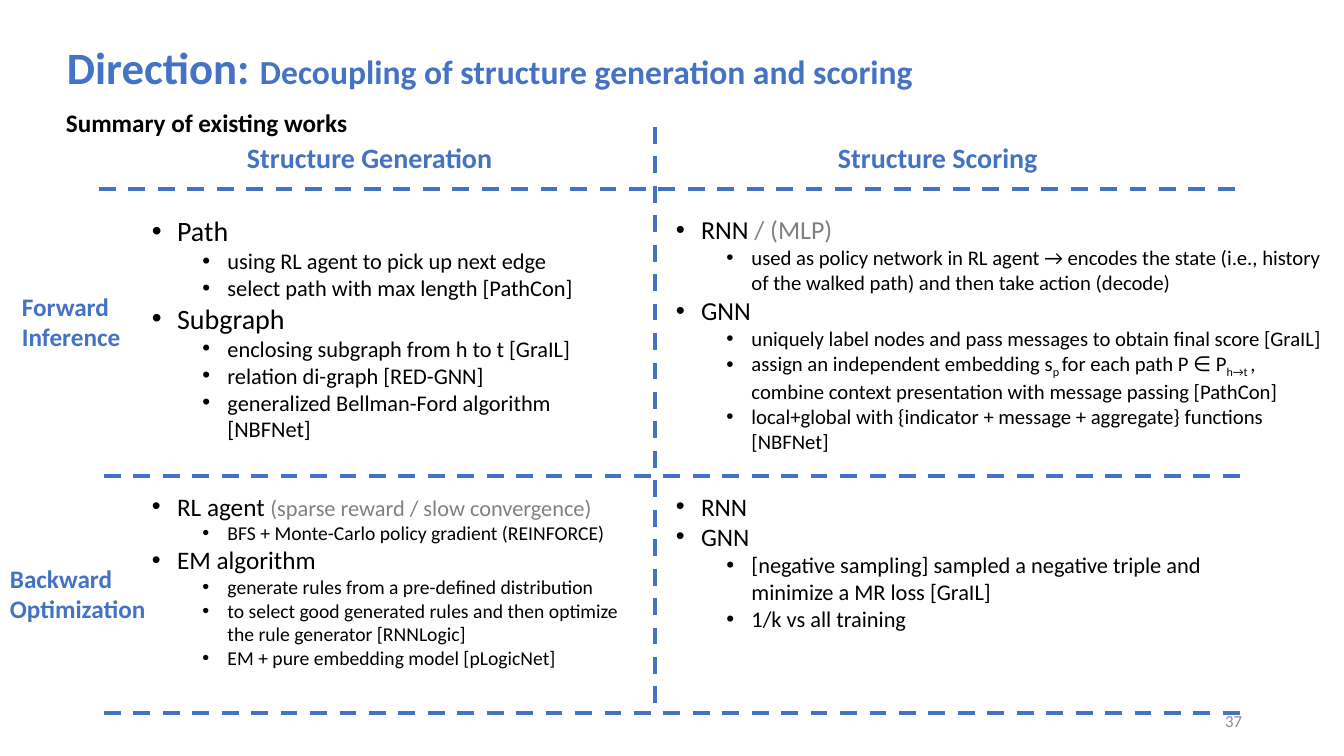
from lxml import etree
from pptx import Presentation
from pptx.dml.color import RGBColor
from pptx.enum.dml import MSO_LINE
from pptx.enum.shapes import MSO_CONNECTOR
from pptx.enum.text import MSO_ANCHOR, PP_ALIGN
from pptx.oxml.ns import qn
from pptx.util import Pt

EMU_PER_PX = 914400 / 100.8
BLUE = RGBColor(0x44, 0x72, 0xC4)
BLACK = RGBColor(0, 0, 0)
GRAY = RGBColor(0x80, 0x80, 0x80)
PAGE_GRAY = RGBColor(0x8C, 0x8C, 0x8C)
FONT = "Calibri"
DASH = MSO_LINE.DASH
STRAIGHT = MSO_CONNECTOR.STRAIGHT
TOP, MIDDLE = MSO_ANCHOR.TOP, MSO_ANCHOR.MIDDLE
LEFT, RIGHT = PP_ALIGN.LEFT, PP_ALIGN.RIGHT

# Bullet lists: (level, spans); a span is text or (text, format)
FORWARD_GENERATION = [
    (0, ["Path"]),
    (1, ["using RL agent to pick up next edge"]),
    (1, ["select path with max length [PathCon]"]),
    (0, ["Subgraph"]),
    (1, ["enclosing subgraph from h to t [GraIL]"]),
    (1, ["relation di-graph [RED-GNN]"]),
    (1, ["generalized Bellman-Ford algorithm [NBFNet]"]),
]
FORWARD_SCORING = [
    (0, ["RNN ", ("/ (MLP)", {"color": GRAY})]),
    (1, ["used as policy network in RL agent → encodes the state (i.e., history "
         "of the walked path) and then take action (decode)"]),
    (0, ["GNN"]),
    (1, ["uniquely label nodes and pass messages to obtain final score [GraIL]"]),
    (1, ["assign an independent embedding s", ("p ", {"subscript": True}),
         "for each path P ∈ P", ("h→t ", {"subscript": True}),
         ", combine context presentation with message passing [PathCon]"]),
    (1, ["local+global with {indicator + message + aggregate} functions [NBFNet]"]),
]
BACKWARD_GENERATION = [
    (0, ["RL agent ", ("(sparse reward / slow convergence)", {"size": 16, "color": GRAY})]),
    (1, ["BFS + Monte-Carlo policy gradient (REINFORCE)"]),
    (0, ["EM algorithm"]),
    (1, ["generate rules from a pre-defined distribution"]),
    (1, ["to select good generated rules and then optimize the rule generator [RNNLogic]"]),
    (1, ["EM + pure embedding model [pLogicNet]"]),
]
BACKWARD_SCORING = [
    (0, ["RNN"]),
    (0, ["GNN"]),
    (1, ["[negative sampling] sampled a negative triple and minimize a MR loss [GraIL]"]),
    (1, ["1/k vs all training"]),
]


def px(length):
    return round(length * EMU_PER_PX)


def add_span(para, text, size=18, color=BLACK, bold=False, subscript=False):
    span = para.add_run()
    span.text = text
    span.font.name = FONT
    span.font.size = Pt(size)
    span.font.color.rgb = color
    span.font.bold = bold
    if subscript:
        span.font._element.set("baseline", "-25000")


def add_frame(page, box, anchor=TOP):
    frame = page.shapes.add_textbox(*map(px, box)).text_frame
    frame.word_wrap = True
    frame.vertical_anchor = anchor
    return frame


def next_para(frame, index):
    return frame.add_paragraph() if index else frame.paragraphs[0]


def add_label(page, box, *lines, anchor=TOP, align=LEFT, **style):
    frame = add_frame(page, box, anchor)
    for index, line in enumerate(lines):
        para = next_para(frame, index)
        para.alignment = align
        add_span(para, line, **style)


def add_title(page, box):
    para = add_frame(page, box, MIDDLE).paragraphs[0]
    para.line_spacing = 0.9
    add_span(para, "Direction: ", size=32, color=BLUE, bold=True)
    add_span(para, "Decoupling of structure generation and scoring",
             size=24, color=BLUE, bold=True)


def add_bullets(page, box, items, sizes):
    frame = add_frame(page, box)
    for index, (level, spans) in enumerate(items):
        para = next_para(frame, index)
        para.level = level
        properties = para._p.get_or_add_pPr()
        properties.set("marL", str(228600 + 457200 * level))
        properties.set("indent", "-228600")
        etree.SubElement(properties, qn("a:buFont")).set("typeface", "Arial")
        etree.SubElement(properties, qn("a:buChar")).set("char", "•")
        for span in spans:
            text, style = (span, {}) if isinstance(span, str) else span
            add_span(para, text, **{"size": sizes[level], **style})


def add_dashed_line(page, *ends):
    line = page.shapes.add_connector(STRAIGHT, *map(px, ends))
    line.line.color.rgb = BLUE
    line.line.width = Pt(3)
    line.line.dash_style = DASH
    etree.SubElement(line._element.spPr, qn("a:effectLst"))


def add_matrix(page, left, top, width, height):
    # Dashed rules
    bottom = top + height
    for x, y in ((left - 5, top + 62), (left, top + 349), (left, bottom)):
        add_dashed_line(page, x, y, x + width, y)
    add_dashed_line(page, left + 551, top, left + 551, bottom)

    # Column and row headings
    for x, text in ((133, "Structure Generation"), (724, "Structure Scoring")):
        add_label(page, (left + x, top + 9, 268, 44), text, size=20, color=BLUE, bold=True)
    for x, y, lines in ((-92, 159, ("Forward", "Inference")),
                        (-104, 431, ("Backward", "Optimization"))):
        add_label(page, (left + x, top + y, 181, 72), *lines, color=BLUE, bold=True)

    # Cells
    cells = (
        (38, 82, 489, 258, FORWARD_GENERATION, (20, 16)),
        (562, 82, 666, 258, FORWARD_SCORING, (18.5, 14.8)),
        (38, 359, 502, 217, BACKWARD_GENERATION, (18, 14)),
        (562, 359, 629, 217, BACKWARD_SCORING, (18, 16)),
    )
    for x, y, cell_width, cell_height, items, sizes in cells:
        add_bullets(page, (left + x, top + y, cell_width, cell_height), items, sizes)


def main():
    deck = Presentation()
    deck.slide_width, deck.slide_height = px(1344), px(756)
    page = deck.slides.add_slide(deck.slide_layouts[6])
    add_matrix(page, 104, 127, 1136, 586)
    add_title(page, (57, 0, 1286, 139))
    add_label(page, (56, 102, 344, 40), "Summary of existing works", bold=True)
    add_label(page, (950, 701, 302, 40), "37", anchor=MIDDLE, align=RIGHT,
              size=12, color=PAGE_GRAY)
    deck.save("out.pptx")


if __name__ == "__main__":
    main()
